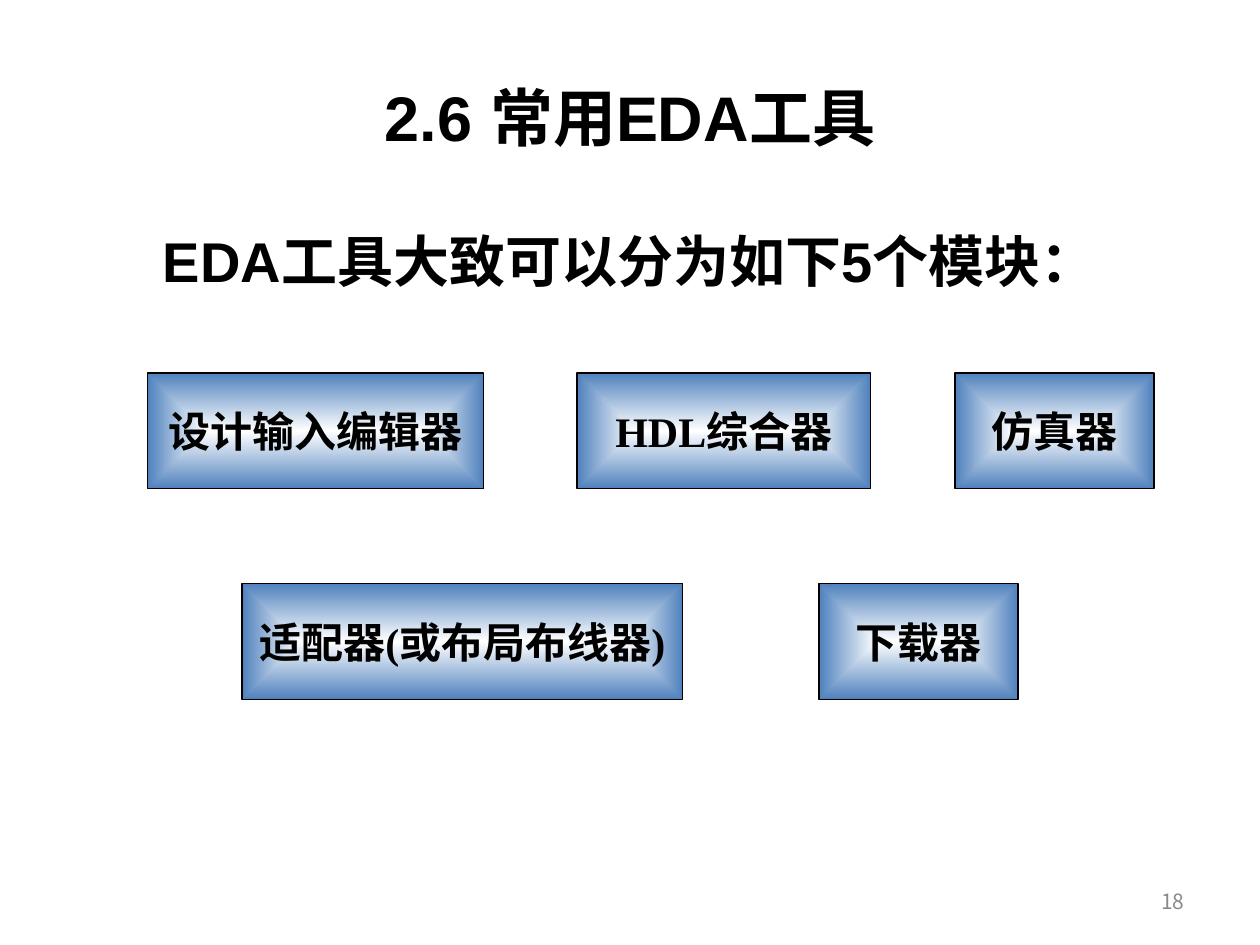
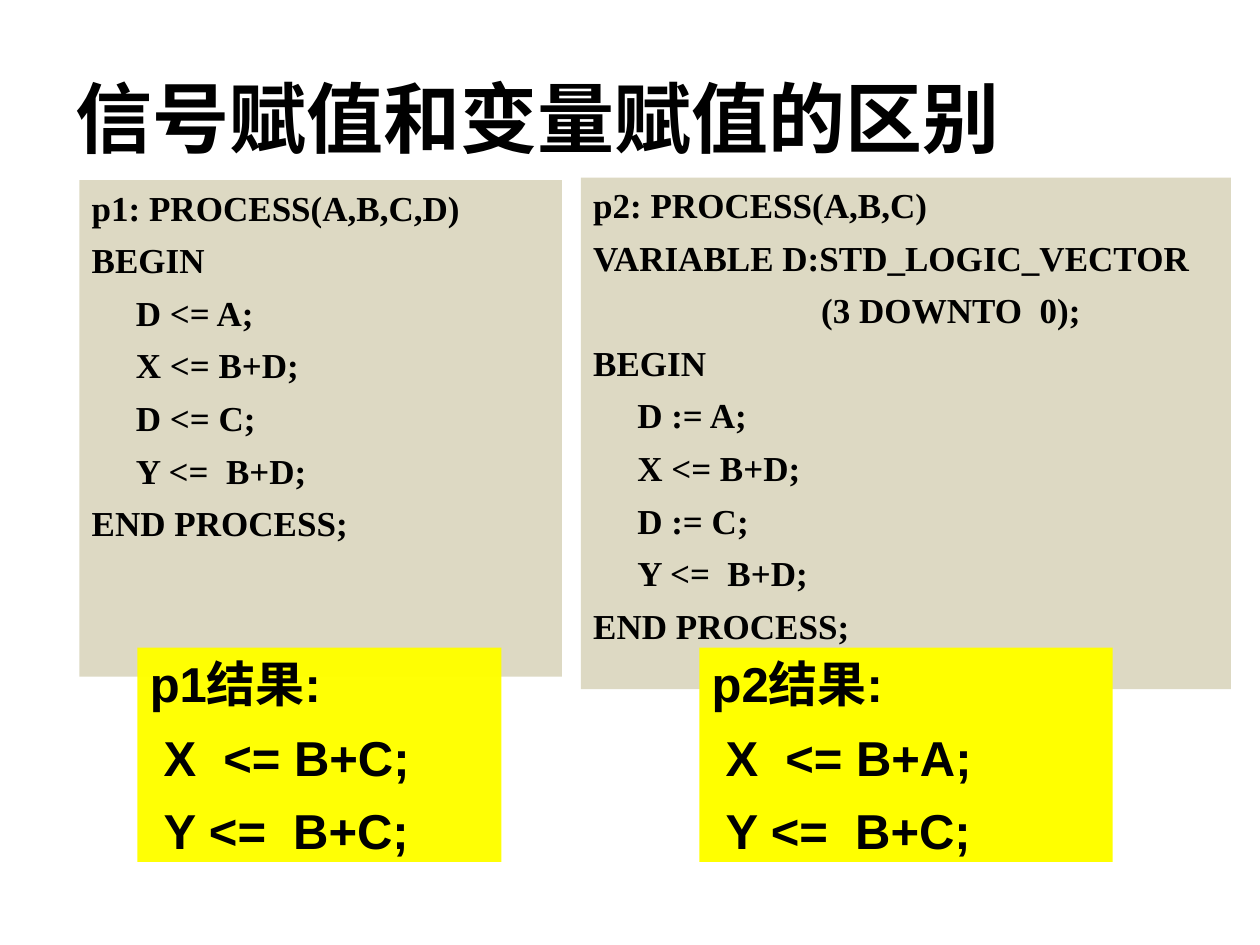
from dataclasses import dataclass

from lxml import etree
from pptx import Presentation
from pptx.dml.color import RGBColor
from pptx.enum.shapes import MSO_SHAPE
from pptx.enum.text import MSO_ANCHOR, MSO_AUTO_SIZE, PP_ALIGN
from pptx.oxml.ns import qn
from pptx.util import Pt

EMU_PER_PX = 9144
RECTANGLE = MSO_SHAPE.RECTANGLE
TOP, MIDDLE = MSO_ANCHOR.TOP, MSO_ANCHOR.MIDDLE
CENTER, RIGHT, JUSTIFY = PP_ALIGN.CENTER, PP_ALIGN.RIGHT, PP_ALIGN.JUSTIFY
NO_AUTOFIT = MSO_AUTO_SIZE.NONE
TITLE_ONLY = 5


@dataclass(frozen=True)
class Theme:
    ink: str = "000000"
    muted: str = "898989"
    white: str = "FFFFFF"
    blue: str = "4F81BD"
    sand: str = "DDD9C3"
    yellow: str = "FFFF00"
    sans: str = "Arial"
    serif: str = "Times New Roman"
    cjk: str = "Noto Sans CJK SC"
    title: int = 36
    large_title: int = 44
    lead: int = 32
    result: int = 28
    module: int = 24
    code: int = 20
    footer: int = 12
    paragraph_gap: float = 0.3
    outline: float = 0.75


THEME = Theme()
SLIDE_SIZE = (1000, 750)
TITLE_BOX = (50, 30, 900, 125)
CODE_INDENT = 35
RESULT_INDENT = 11


def px(length):
    return round(length * EMU_PER_PX)


def place(shape, box):
    shape.left, shape.top, shape.width, shape.height = map(px, box)


def write_text(shape, lines, *, size, font, color=THEME.ink, bold=True,
               align=JUSTIFY, anchor=TOP, wrap=True, gap=0):
    frame = shape.text_frame
    frame.auto_size = NO_AUTOFIT
    frame.word_wrap = wrap
    frame.vertical_anchor = anchor
    frame.margin_left = frame.margin_right = px(10)
    frame.margin_top = frame.margin_bottom = px(5)
    for index, (text, indent) in enumerate(lines):
        paragraph = frame.add_paragraph() if index else frame.paragraphs[0]
        paragraph.alignment = align
        paragraph.space_before = Pt(round(size * gap, 1))
        if indent:
            properties = paragraph._p.get_or_add_pPr()
            properties.set("marL", str(px(indent)))
            properties.set("indent", "0")
        run = paragraph.add_run()
        run.text = text
        run.font.size = Pt(size)
        run.font.bold = bold
        run.font.name = font
        run.font.color.rgb = RGBColor.from_string(color)
        latin = run._r.rPr.find(qn("a:latin"))
        east_asian = etree.Element(qn("a:ea"), typeface=THEME.cjk)
        latin.addnext(east_asian)


def add_title_slide(presentation, title, **text_format):
    slide = presentation.slides.add_slide(presentation.slide_layouts[TITLE_ONLY])
    place(slide.shapes.title, TITLE_BOX)
    write_text(slide.shapes.title, [(title, 0)], anchor=MIDDLE, **text_format)
    return slide


def add_label(slide, box, text, **text_format):
    label = slide.shapes.add_textbox(*map(px, box))
    write_text(label, [(text, 0)], gap=THEME.paragraph_gap, **text_format)


def add_rectangle(slide, box):
    rectangle = slide.shapes.add_shape(RECTANGLE, *map(px, box))
    rectangle.shadow.inherit = False
    return rectangle


def fill_from_center(shape, inner, outer):
    shape.fill.gradient()
    for stop, position, color in zip(shape.fill.gradient_stops, (0, 1), (inner, outer)):
        stop.position = position
        stop.color.rgb = RGBColor.from_string(color)
    gradient = shape._element.spPr.find(qn("a:gradFill"))
    gradient.remove(gradient.find(qn("a:lin")))
    center = etree.SubElement(gradient, qn("a:path"))
    center.set("path", "rect")
    etree.SubElement(center, qn("a:fillToRect"), l="50000", t="50000", r="50000", b="50000")


def add_module_row(slide, box, modules):
    left, top, _, height = box
    for offset, width, name in modules:
        module = add_rectangle(slide, (left + offset, top, width, height))
        fill_from_center(module, THEME.white, THEME.blue)
        module.line.color.rgb = RGBColor.from_string(THEME.ink)
        module.line.width = Pt(THEME.outline)
        write_text(module, [(name, 0)], size=THEME.module, font=THEME.serif,
                   align=CENTER, anchor=MIDDLE, wrap=False)


def add_panel(slide, box, color, lines, **text_format):
    panel = add_rectangle(slide, box)
    panel.fill.solid()
    panel.fill.fore_color.rgb = RGBColor.from_string(color)
    panel.line.fill.background()
    write_text(panel, lines, gap=THEME.paragraph_gap, **text_format)
    return panel


def add_process(slide, box, code, result_box, result):
    left, top, _, _ = box
    offset_x, offset_y, width, height = result_box
    heading, *assignments = result
    add_panel(slide, box, THEME.sand, code, size=THEME.code, font=THEME.serif)
    return add_panel(
        slide, (left + offset_x, top + offset_y, width, height), THEME.yellow,
        [(heading, 0)] + [(line, RESULT_INDENT) for line in assignments],
        size=THEME.result, font=THEME.sans)


def set_opacity(shape, percent):
    color = shape._element.spPr.find(qn("a:solidFill"))[0]
    etree.SubElement(color, qn("a:alpha"), val=str(percent * 1000))


def process_body(assign):
    body = (f"D {assign} A;", "X <= B+D;", f"D {assign} C;", "Y <=  B+D;")
    return [("BEGIN", 0), *((line, CODE_INDENT) for line in body), ("END PROCESS;", 0)]


def build_tools_slide(presentation):
    slide = add_title_slide(presentation, "2.6 常用EDA工具", size=THEME.title,
                            font=THEME.sans, align=CENTER)
    add_label(slide, (50, 175, 900, 495), "EDA工具大致可以分为如下5个模块：",
              size=THEME.lead, font=THEME.sans, align=CENTER)
    add_module_row(slide, (117, 296, 799, 92), [
        (0, 267, "设计输入编辑器"), (341, 233, "HDL综合器"), (641, 158, "仿真器")])
    add_module_row(slide, (192, 463, 616, 92), [
        (0, 350, "适配器(或布局布线器)"), (458, 158, "下载器")])
    add_label(slide, (717, 695, 233, 40), "18", size=THEME.footer, font=THEME.cjk,
              color=THEME.muted, bold=False, align=RIGHT, anchor=MIDDLE)


def build_assignment_slide(presentation):
    slide = add_title_slide(presentation, "信号赋值和变量赋值的区别",
                            size=THEME.large_title, font=THEME.cjk)
    signal_result = add_process(
        slide, (63, 143, 383, 394),
        [("p1: PROCESS(A,B,C,D)", 0), *process_body("<=")],
        (46, 371, 289, 170), ("p1结果:", "X  <= B+C;", "Y <=  B+C;"))
    set_opacity(signal_result, 98)
    add_process(
        slide, (461, 141, 516, 406),
        [("p2: PROCESS(A,B,C)", 0), ("VARIABLE D:STD_LOGIC_VECTOR", 0),
         ("(3 DOWNTO  0);", 181), *process_body(":=")],
        (94, 373, 328, 170), ("p2结果:", "X  <= B+A;", "Y <=  B+C;"))


def main():
    presentation = Presentation()
    presentation.slide_width, presentation.slide_height = map(px, SLIDE_SIZE)
    build_tools_slide(presentation)
    build_assignment_slide(presentation)
    presentation.save("out.pptx")


if __name__ == "__main__":
    main()
